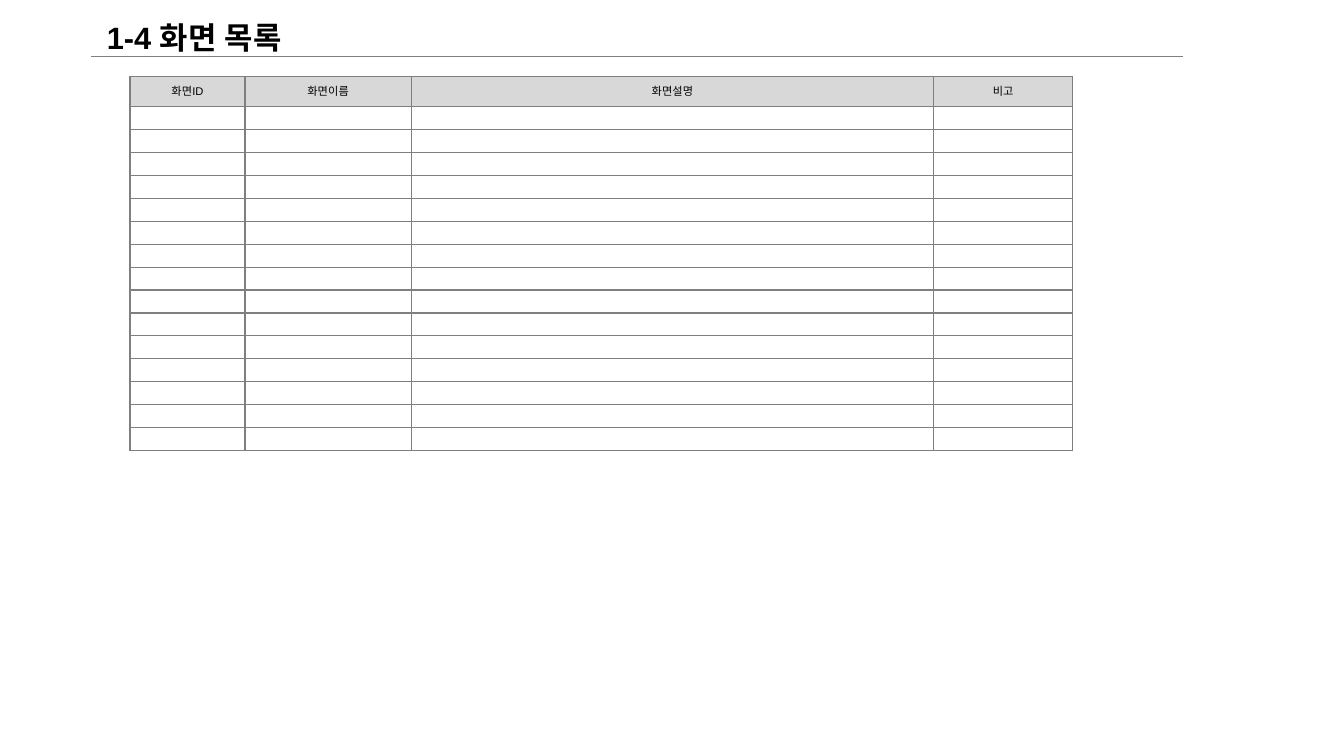
"""Build the screen list slide: a ruled title above an empty register table."""
from lxml import etree
from pptx import Presentation
from pptx.dml.color import RGBColor
from pptx.enum import shapes, text
from pptx.oxml import ns
from pptx.util import Inches, Pt

BLACK = RGBColor(0x00, 0x00, 0x00)
WHITE = RGBColor(0xFF, 0xFF, 0xFF)
RULE_GREY = RGBColor(0x80, 0x80, 0x80)
HEADER_GREY = RGBColor(0xD8, 0xD8, 0xD8)
BORDER_GREY = "7F7F7F"
FONT = "Arial"
HEADERS = ["화면ID", "화면이름", "화면설명", "비고"]
COL_WIDTHS = [1.14, 1.65, 5.18, 1.38]
BODY_ROWS = 15
HEADER_HEIGHT = 0.3
TABLE_HEIGHT = 3.71


def format_run(r, size, bold=False):
    r.font.name = FONT
    r.font.size = Pt(size)
    r.font.bold = bold
    r.font.color.rgb = BLACK
    ea = etree.SubElement(r._r.get_or_add_rPr(), ns.qn("a:ea"))
    ea.set("typeface", FONT)


def add_rule(s, left, right, y):
    rule = s.shapes.add_connector(
        shapes.MSO_CONNECTOR.STRAIGHT, Inches(left), Inches(y), Inches(right), Inches(y))
    rule.line.color.rgb = RULE_GREY
    rule.line.width = Pt(0.5)
    etree.SubElement(rule._element.spPr, ns.qn("a:effectLst"))


def set_title(s, title):
    sp = s.shapes.title
    sp.left, sp.top, sp.width, sp.height = Inches(0.96), 0, Inches(2.14), Inches(0.56)
    tf = sp.text_frame
    tf.text = title
    tf.word_wrap = False
    tf.auto_size = text.MSO_AUTO_SIZE.SHAPE_TO_FIT_TEXT
    tf.vertical_anchor = text.MSO_ANCHOR.TOP
    tf.margin_left = tf.margin_right = Inches(0.1)
    tf.margin_top = tf.margin_bottom = 0
    p = tf.paragraphs[0]
    p.alignment = text.PP_ALIGN.LEFT
    p.line_spacing = 1.5
    pPr = p._p.get_or_add_pPr()
    pPr.set("marL", str(Inches(0.38)))
    pPr.set("indent", str(-Inches(0.38)))
    format_run(p.runs[0], 22, bold=True)


def add_borders(cell):
    tcPr = cell._tc.get_or_add_tcPr()
    for i, side in enumerate(("lnL", "lnR", "lnT", "lnB")):
        ln = etree.Element(ns.qn("a:" + side), w=str(Pt(1)))
        fill = etree.SubElement(ln, ns.qn("a:solidFill"))
        etree.SubElement(fill, ns.qn("a:srgbClr"), val=BORDER_GREY)
        tcPr.insert(i, ln)


def format_cell(cell, fill):
    cell.fill.solid()
    cell.fill.fore_color.rgb = fill
    cell.vertical_anchor = text.MSO_ANCHOR.MIDDLE
    cell.margin_left = cell.margin_right = Inches(0.09)
    cell.margin_top = cell.margin_bottom = Inches(0.04)
    p = cell.text_frame.paragraphs[0]
    p.alignment = text.PP_ALIGN.CENTER
    for r in p.runs:
        format_run(r, 8)
    if not p.runs:
        etree.SubElement(p._p, ns.qn("a:endParaRPr"), sz="800")
    add_borders(cell)


def add_screen_table(s):
    frame = s.shapes.add_table(
        BODY_ROWS + 1, len(HEADERS), Inches(1.29), Inches(0.76),
        Inches(sum(COL_WIDTHS)), Inches(TABLE_HEIGHT))
    table = frame.table
    table.first_row = table.horz_banding = False
    for column, width in zip(table.columns, COL_WIDTHS):
        column.width = Inches(width)
    for i, row in enumerate(table.rows):
        row.height = Inches((TABLE_HEIGHT - HEADER_HEIGHT) / BODY_ROWS if i else HEADER_HEIGHT)
        for cell, header in zip(row.cells, HEADERS):
            if i == 0:
                cell.text_frame.text = header
            format_cell(cell, WHITE if i else HEADER_GREY)


def main():
    prs = Presentation()
    prs.slide_width, prs.slide_height = Inches(13.33), Inches(7.5)
    s = prs.slides.add_slide(prs.slide_layouts[5])
    add_rule(s, 0.9, 11.73, 0.56)
    set_title(s, "1-4 화면 목록")
    add_screen_table(s)
    prs.save("out.pptx")


main()
